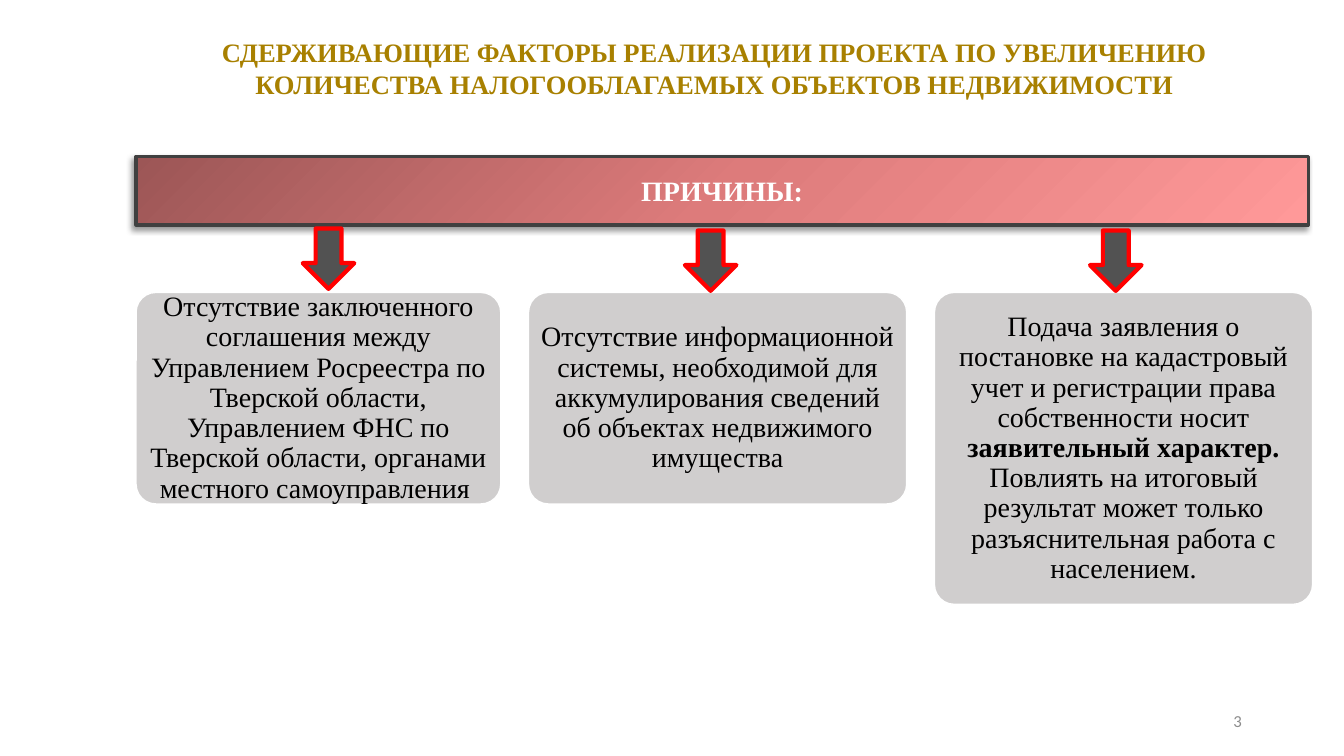
"""Build the slide on factors holding back the property tax project."""
import copy
import enum

import lxml.etree
import pptx
import pptx.dml.color
import pptx.enum.shapes
import pptx.enum.text
import pptx.oxml.ns
import pptx.util

Cm, Pt = pptx.util.Cm, pptx.util.Pt
RGB = pptx.dml.color.RGBColor.from_string
SHAPE = pptx.enum.shapes.MSO_SHAPE
ALIGN = pptx.enum.text.PP_ALIGN
MIDDLE = pptx.enum.text.MSO_ANCHOR.MIDDLE
TOP = pptx.enum.text.MSO_ANCHOR.TOP
qn = pptx.oxml.ns.qn


class Theme(enum.Enum):
    TITLE = {"name": "Times New Roman", "size": Pt(19), "bold": True, "color": "A88000"}
    BANNER = {"name": "Times New Roman", "size": Pt(20), "bold": True, "color": "FFFFFF"}
    CARD = {"name": "Times New Roman", "size": Pt(20), "bold": False, "color": "000000"}
    NUMBER = {"name": "Calibri", "size": Pt(12), "bold": False, "color": "8C8C8C"}
    BANNER_STOPS = ((0, "9C5656"), (0.5, "DD7B7B"), (1, "FF9999"))
    BANNER_LINE = "404040"
    CARD_FILL = "D0CECE"
    CARD_LINE = "FFFFFF"
    ARROW_FILL = "525252"
    ARROW_LINE = "FF0000"


def put_text(sp, runs, style, align=ALIGN.CENTER, anchor=MIDDLE, inset=(0.25, 0.13), spacing=1.0):
    tf = sp.text_frame
    frame = {"word_wrap": True, "auto_size": pptx.enum.text.MSO_AUTO_SIZE.NONE,
             "vertical_anchor": anchor,
             "margin_left": Cm(inset[0]), "margin_right": Cm(inset[0]),
             "margin_top": Cm(inset[1]), "margin_bottom": Cm(inset[1])}
    for key, value in frame.items():
        setattr(tf, key, value)
    p = tf.paragraphs[0]
    for key, value in {"alignment": align, "line_spacing": spacing, "space_before": Pt(0)}.items():
        setattr(p, key, value)
    for text, bold in runs:
        r = p.add_run()
        r.text = text
        for key, value in style.value.items():
            if key == "color":
                r.font.color.rgb = RGB(value)
            else:
                setattr(r.font, key, value)
        r.font.bold = bold or style.value["bold"]


def add_block(kind, box, fill, line, width):
    sp = s.shapes.add_shape(kind, *map(Cm, box))
    sp.shadow.inherit = False
    if fill:
        sp.fill.solid()
        sp.fill.fore_color.rgb = RGB(fill.value)
    sp.line.color.rgb = RGB(line.value)
    sp.line.width = Pt(width)
    return sp


prs = pptx.Presentation()
prs.slide_width, prs.slide_height = Cm(33.87), Cm(19.05)
s = prs.slides.add_slide(prs.slide_layouts[5])

title = s.shapes.title
for key, value in {"left": 3.66, "top": 0.76, "width": 28.68, "height": 2.26}.items():
    setattr(title, key, Cm(value))
put_text(title, [("СДЕРЖИВАЮЩИЕ ФАКТОРЫ РЕАЛИЗАЦИИ ПРОЕКТА ПО УВЕЛИЧЕНИЮ "
                  "КОЛИЧЕСТВА НАЛОГООБЛАГАЕМЫХ ОБЪЕКТОВ НЕДВИЖИМОСТИ", True)],
         Theme.TITLE, anchor=TOP, inset=(0.3, 0.15))

banner = add_block(SHAPE.RECTANGLE, (3.43, 3.94, 29.54, 1.73), None, Theme.BANNER_LINE, 2.25)
banner.fill.gradient()
banner.fill.gradient_angle = 315
stop_list = banner._element.spPr.find(qn("a:gradFill")).find(qn("a:gsLst"))
stop_list.append(copy.deepcopy(stop_list[-1]))
for stop, (position, color) in zip(banner.fill.gradient_stops, Theme.BANNER_STOPS.value):
    stop.position = position
    stop.color.rgb = RGB(color)
shadow = lxml.etree.SubElement(
    banner._element.spPr.find(qn("a:effectLst")), qn("a:outerShdw"),
    blurRad=str(Pt(4)), dist=str(Pt(3)), dir=str(135 * 60000), algn="tr", rotWithShape="0")
black = lxml.etree.SubElement(shadow, qn("a:srgbClr"), val="000000")
lxml.etree.SubElement(black, qn("a:alpha"), val="40000")
put_text(banner, [("ПРИЧИНЫ:", True)], Theme.BANNER)

reasons = [
    (3.43, 9.19, 5.33, 8.28, 5.76, [
        ("Отсутствие заключенного соглашения между Управлением Росреестра по Тверской области, "
         "Управлением ФНС по Тверской области, органами местного самоуправления ", False)]),
    (13.32, 9.53, 5.33, 17.91, 5.81, [
        ("Отсутствие информационной системы, необходимой для аккумулирования сведений "
         "об объектах недвижимого имущества", False)]),
    (23.55, 9.53, 7.86, 28.12, 5.81, [
        ("Подача заявления о постановке на кадастровый учет и регистрации права "
         "собственности носит ", False),
        ("заявительный характер. ", True),
        ("Повлиять на итоговый результат может только разъяснительная работа с населением.",
         False)]),
]
for left, width, height, arrow_center, arrow_top, runs in reasons:
    card = add_block(SHAPE.ROUNDED_RECTANGLE, (left, 7.37, width, height),
                     Theme.CARD_FILL, Theme.CARD_LINE, 1)
    card.adjustments[0] = 0.5 / height
    put_text(card, runs, Theme.CARD, inset=(0.15, 0.15), spacing=0.9)
    add_block(SHAPE.DOWN_ARROW, (arrow_center - 0.65, arrow_top, 1.3, 1.52),
              Theme.ARROW_FILL, Theme.ARROW_LINE, 3)

number = s.shapes.add_textbox(Cm(23.93), Cm(17.65), Cm(7.62), Cm(1.02))
put_text(number, [("3", False)], Theme.NUMBER, align=ALIGN.RIGHT)

prs.save("out.pptx")
